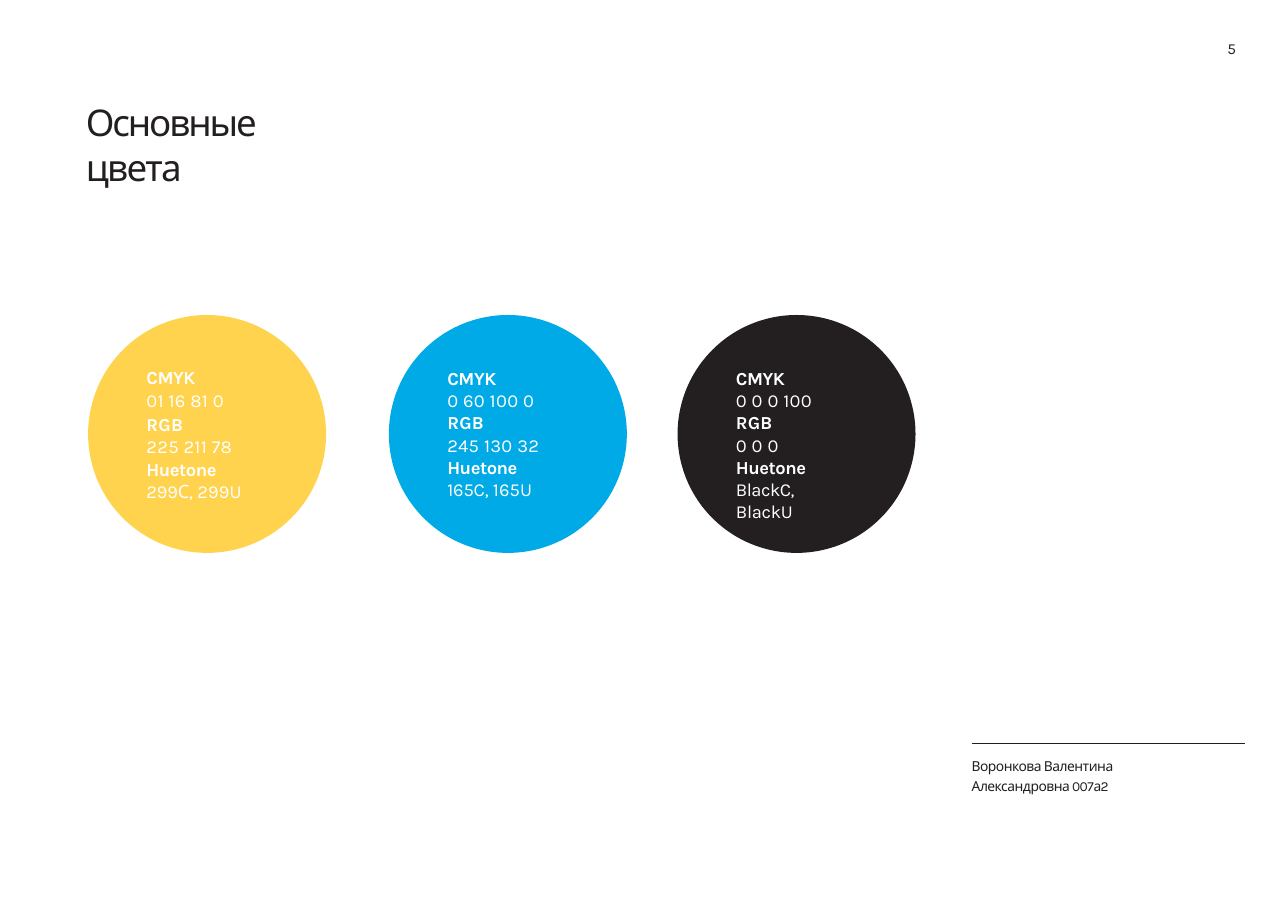
from pptx import Presentation
from pptx.dml.color import RGBColor
from pptx.enum.shapes import MSO_CONNECTOR, MSO_SHAPE
from pptx.enum.text import MSO_ANCHOR, MSO_AUTO_SIZE, PP_ALIGN
from pptx.oxml import parse_xml
from pptx.oxml.ns import nsdecls
from pptx.util import Inches, Pt

LEFT = PP_ALIGN.LEFT
TOP = MSO_ANCHOR.TOP
GROW = MSO_AUTO_SIZE.SHAPE_TO_FIT_TEXT
OVAL = MSO_SHAPE.OVAL
STRAIGHT = MSO_CONNECTOR.STRAIGHT

INK, WHITE, YELLOW, BLUE = "231F20", "FFFFFF", "FFD34E", "00AAE7"
TITLE_ONLY = 5

DIAMETER = 2.16
CIRCLE_TOP = 2.86
TEXT_INSET = 0.52
LABELS = [("CMYK", -0.3), ("RGB", 0.1), ("Huetone", -0.3)]

# Circle left, colour, text width, CMYK, RGB, spans of the ink codes, loose paragraphs
SWATCHES = [
    (6.15, INK, 1.06, "0 0 0 100", "0 0 0",
     [("BlackC, ", -0.3), ("BlackU", -0.2)], 0),
    (3.53, BLUE, 0.88, "0 60 100 0", "245 130 32",
     [("165C, ", -0.1), ("165U", 0.1)], 0),
    (0.8, YELLOW, 1.2, "01 16 81 0", "225 211 78",
     [("299С, ", -0.1), ("299U", 0.1)], 3),
]


def colour(code):
    return RGBColor.from_string(code)


class Page:
    """The current slide and its text style."""

    def __init__(self, deck, font="Karla"):
        self.slide = deck.slides.add_slide(deck.slide_layouts[TITLE_ONLY])
        self.shapes = self.slide.shapes
        self.font = font

    def fill_text(self, box, paragraphs, size, ink, inset=0.01):
        """Each paragraph is (spans, format); each span is (text, tracking, bold)."""
        frame = box.text_frame
        frame_format = {
            "word_wrap": True, "auto_size": GROW, "vertical_anchor": TOP,
            "margin_left": Inches(0.01), "margin_top": Inches(inset),
            "margin_right": 0, "margin_bottom": 0,
        }
        for name, value in frame_format.items():
            setattr(frame, name, value)
        for index, (spans, paragraph_format) in enumerate(paragraphs):
            para = frame.add_paragraph() if index else frame.paragraphs[0]
            para.alignment = LEFT
            for name, value in paragraph_format.items():
                setattr(para, name, value)
            for text, tracking, bold in spans:
                span = para.add_run()
                span.text = text
                font_format = {"name": self.font, "size": Pt(size), "bold": bold}
                for name, value in font_format.items():
                    setattr(span.font, name, value)
                span.font.color.rgb = colour(ink)
                span._r.get_or_add_rPr().set("spc", str(round(tracking * 100)))

    def title(self, area, paragraphs, size):
        box = self.shapes.title
        for name, value in zip(("left", "top", "width", "height"), area):
            setattr(box, name, Inches(value))
        self.fill_text(box, paragraphs, size, INK)

    def text(self, area, paragraphs, size, ink=INK, inset=0.01):
        box = self.shapes.add_textbox(*map(Inches, area))
        self.fill_text(box, paragraphs, size, ink, inset)

    def circle(self, left, top, diameter, fill):
        disc = self.shapes.add_shape(
            OVAL, *map(Inches, (left, top, diameter, diameter)))
        disc.shadow.inherit = False
        disc.fill.solid()
        disc.fill.fore_color.rgb = colour(fill)
        disc.line.fill.background()

    def rule(self, left, right, top, width):
        line = self.shapes.add_connector(
            STRAIGHT, *map(Inches, (left, top, right, top)))
        line.line.color.rgb = colour(INK)
        line.line.width = Pt(width)
        line._element.spPr.append(parse_xml(f"<a:effectLst {nsdecls('a')}/>"))

    def swatch(self, left, fill, width, cmyk, rgb, codes, loose):
        self.circle(left, CIRCLE_TOP, DIAMETER, fill)
        values = [[(cmyk, 0.2)], [(rgb, 0.2)], codes]
        lines = []
        for (label, tracking), value in zip(LABELS, values):
            lines.append([(label, tracking, True)])
            lines.append([(text, gap, False) for text, gap in value])
        paragraphs = []
        for index, spans in enumerate(lines):
            if index < loose:
                spacing = {"line_spacing": 1.01, "space_before": Pt(0.9)}
            else:
                spacing = {"space_before": Pt(0.2 if index else 1.1)}
            paragraphs.append((spans, spacing))
        self.text((left + TEXT_INSET, 3.31, width, 1.24), paragraphs, 12, WHITE,
                  0.01 if loose else 0.02)


def main():
    deck = Presentation()
    deck.slide_width, deck.slide_height = Inches(11.69), Inches(8.27)
    page = Page(deck)
    before = {"space_before": Pt(1)}

    # Page number and title
    page.text((11.13, 0.35, 0.18, 0.18), [([("5", 0.1, False)], before)], 10)
    heading = [("Основные ", -1.4, False), ("цвета", -1.2, False)]
    page.title((0.77, 0.9, 2.29, 0.43), [(heading, before)], 24)

    # Colour swatches
    for swatch in SWATCHES:
        page.swatch(*swatch)

    # Author
    page.rule(8.82, 11.3, 6.75, 0.25)
    author = ["Воронкова Валентина", "Александровна 007а2"]
    page.text((8.81, 6.85, 2.37, 0.55),
              [([(name, -0.3, False)], {**before, "line_spacing": 1.11})
               for name in author], 9)

    deck.save("out.pptx")


if __name__ == "__main__":
    main()
